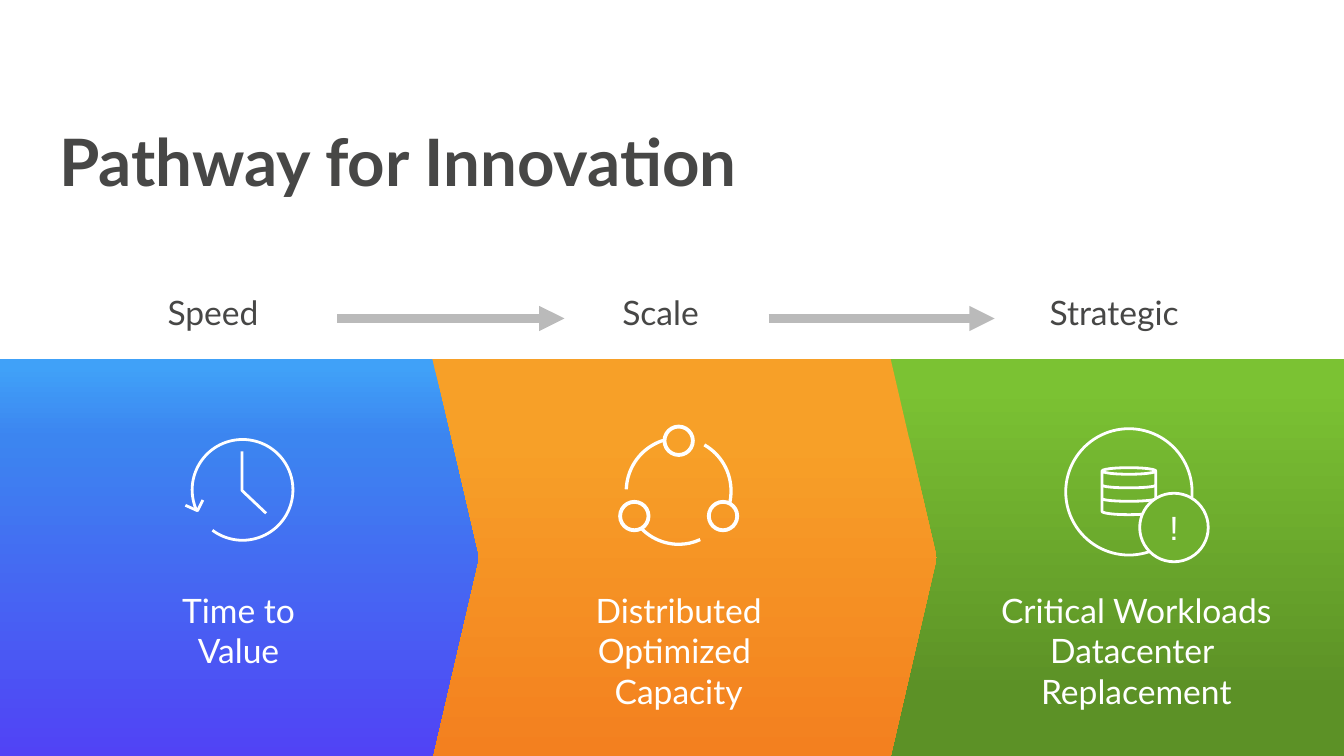
from lxml.etree import SubElement
from pptx import Presentation
from pptx.dml.color import RGBColor
from pptx.enum.shapes import MSO_CONNECTOR, MSO_SHAPE
from pptx.enum.text import MSO_ANCHOR, PP_ALIGN
from pptx.oxml.ns import qn
from pptx.util import Inches, Pt

COLORS = {
    "text": "474746",
    "arrow": "BABABA",
    "white": "FFFFFF",
    "badge": "6FAF2E",
    "blue": [(2, "40A1F8"), (20, "3C85F0"), (100, "5143F5")],
    "orange": [(2, "F7A028"), (20, "F7A028"), (100, "F3801F")],
    "green": [(7, "7BC233"), (84, "5C9126")],
}
ARC_UNITS_PER_DEGREE = 0.6


def add_label(text, left, top, width, height, color, line_spacing):
    box = slide.shapes.add_textbox(Inches(left), Inches(top), Inches(width), Inches(height))
    frame = box.text_frame
    frame.word_wrap = True
    frame.margin_left = frame.margin_right = Inches(0.15)
    frame.text = text
    paragraph = frame.paragraphs[0]
    paragraph.alignment = PP_ALIGN.CENTER
    paragraph.line_spacing = line_spacing
    paragraph.font.name = "Lato"
    paragraph.font.size = Pt(18)
    paragraph.font.color.rgb = RGBColor.from_string(COLORS[color])


def add_outline(icon, kind, left, top, width, height, adjustments=(), weight=1.5):
    part = icon.shapes.add_shape(kind, Inches(left), Inches(top), Inches(width), Inches(height))
    part.shadow.inherit = False
    part.fill.background()
    part.line.color.rgb = RGBColor.from_string(COLORS["white"])
    part.line.width = Pt(weight)
    for index, value in enumerate(adjustments):
        part.adjustments[index] = value
    return part


prs = Presentation()
prs.slide_width = Inches(10)
prs.slide_height = Inches(10 * 9 / 16)
slide = prs.slides.add_slide(prs.slide_layouts[5])

title = slide.shapes.title
title.left, title.top, title.width, title.height = map(Inches, (0.34, 0.33, 9.4, 1.63))
title.text_frame.text = "Pathway for Innovation"
title.text_frame.vertical_anchor = MSO_ANCHOR.TOP
title.text_frame.margin_top = Inches(0.64)
heading = title.text_frame.paragraphs[0]
heading.alignment = PP_ALIGN.LEFT
heading.line_spacing = 0.9
heading.font.name = "Lato"
heading.font.size = Pt(35)
heading.font.bold = True
heading.font.color.rgb = RGBColor.from_string(COLORS["text"])

for stage, left, width in [("Speed", 0.04, 3.09), ("Scale", 3.27, 3.29), ("Strategic", 6.58, 3.42)]:
    add_label(stage, left, 2.16, width, 0.51, "text", 0.9)

for start, end in [(2.51, 4.2), (5.72, 7.4)]:
    arrow = slide.shapes.add_connector(
        MSO_CONNECTOR.STRAIGHT, Inches(start), Inches(2.37), Inches(end), Inches(2.37))
    arrow.line.color.rgb = RGBColor.from_string(COLORS["arrow"])
    arrow.line.width = Pt(4.5)
    SubElement(arrow.get_or_add_ln(), qn("a:tailEnd"), type="triangle")
    SubElement(arrow.element.spPr, qn("a:effectLst"))

for kind, left, width, color in [
    (MSO_SHAPE.RECTANGLE, 6.56, 3.46, "green"),
    (MSO_SHAPE.PENTAGON, 2.98, 3.99, "orange"),
    (MSO_SHAPE.PENTAGON, 0, 3.56, "blue"),
]:
    panel = slide.shapes.add_shape(kind, Inches(left), Inches(2.67), Inches(width), Inches(2.96))
    panel.shadow.inherit = False
    panel.line.fill.background()
    if kind == MSO_SHAPE.PENTAGON:
        panel.adjustments[0] = 0.116
    panel.fill.gradient()
    panel.fill.gradient_angle = 270
    stops = panel.element.spPr.find(qn("a:gradFill")).find(qn("a:gsLst"))
    for stop in list(stops):
        stops.remove(stop)
    for position, shade in COLORS[color]:
        stop = SubElement(stops, qn("a:gs"), pos=str(position * 1000))
        SubElement(stop, qn("a:srgbClr"), val=shade)

clock = slide.shapes.add_group_shape()
add_outline(clock, MSO_SHAPE.ARC, 1.43, 3.27, 0.75, 0.75,
            [angle * ARC_UNITS_PER_DEGREE for angle in (155.5, 126.7)])
for points in [
    [(1.8, 3.36), (1.8, 3.65), (1.98, 3.82)],
    [(1.51, 3.72), (1.47, 3.8), (1.38, 3.76)],
]:
    corners = [(Inches(x), Inches(y)) for x, y in points]
    builder = clock.shapes.build_freeform(*corners[0])
    builder.add_line_segments(corners[1:], close=False)
    hand = builder.convert_to_shape()
    hand.shadow.inherit = False
    hand.fill.background()
    hand.line.color.rgb = RGBColor.from_string(COLORS["white"])
    hand.line.width = Pt(1.5)

network = slide.shapes.add_group_shape()
for left, top in [(4.6, 3.72), (4.93, 3.16), (5.26, 3.72)]:
    node = add_outline(network, MSO_SHAPE.DONUT, left, top, 0.24, 0.24, [0.12])
    node.fill.solid()
    node.fill.fore_color.rgb = RGBColor.from_string(COLORS["white"])
    node.line.fill.background()
for angles in [(66, 135), (299, 12.6), (182, 253.6)]:
    add_outline(network, MSO_SHAPE.ARC, 4.66, 3.26, 0.78, 0.79,
                [angle * ARC_UNITS_PER_DEGREE for angle in angles], 1.75)

database = slide.shapes.add_group_shape()
add_outline(database, MSO_SHAPE.CAN, 8.2, 3.48, 0.4, 0.35, [0.14])
for top in (3.59, 3.69):
    add_outline(database, MSO_SHAPE.ARC, 8.2, top, 0.4, 0.04, [0, 180 * ARC_UNITS_PER_DEGREE])
add_outline(database, MSO_SHAPE.OVAL, 7.93, 3.19, 0.94, 0.94)
badge = add_outline(database, MSO_SHAPE.OVAL, 8.48, 3.67, 0.51, 0.51)
badge.fill.solid()
badge.fill.fore_color.rgb = RGBColor.from_string(COLORS["badge"])
badge.text_frame.text = "!"
badge.text_frame.vertical_anchor = MSO_ANCHOR.MIDDLE
alert = badge.text_frame.paragraphs[0]
alert.alignment = PP_ALIGN.CENTER
alert.font.name = "Arial"
alert.font.size = Pt(18)
alert.font.color.rgb = RGBColor.from_string(COLORS["white"])

for benefit, left, width, height in [
    ("Time to Value", 0.93, 1.69, 0.92),
    ("Distributed Optimized \vCapacity", 3.82, 2.46, 1.12),
    ("Critical Workloads Datacenter \vReplacement", 6.99, 2.93, 1.12),
]:
    add_label(benefit, left, 4.34, width, height, "white", 1.0)

prs.save("out.pptx")
